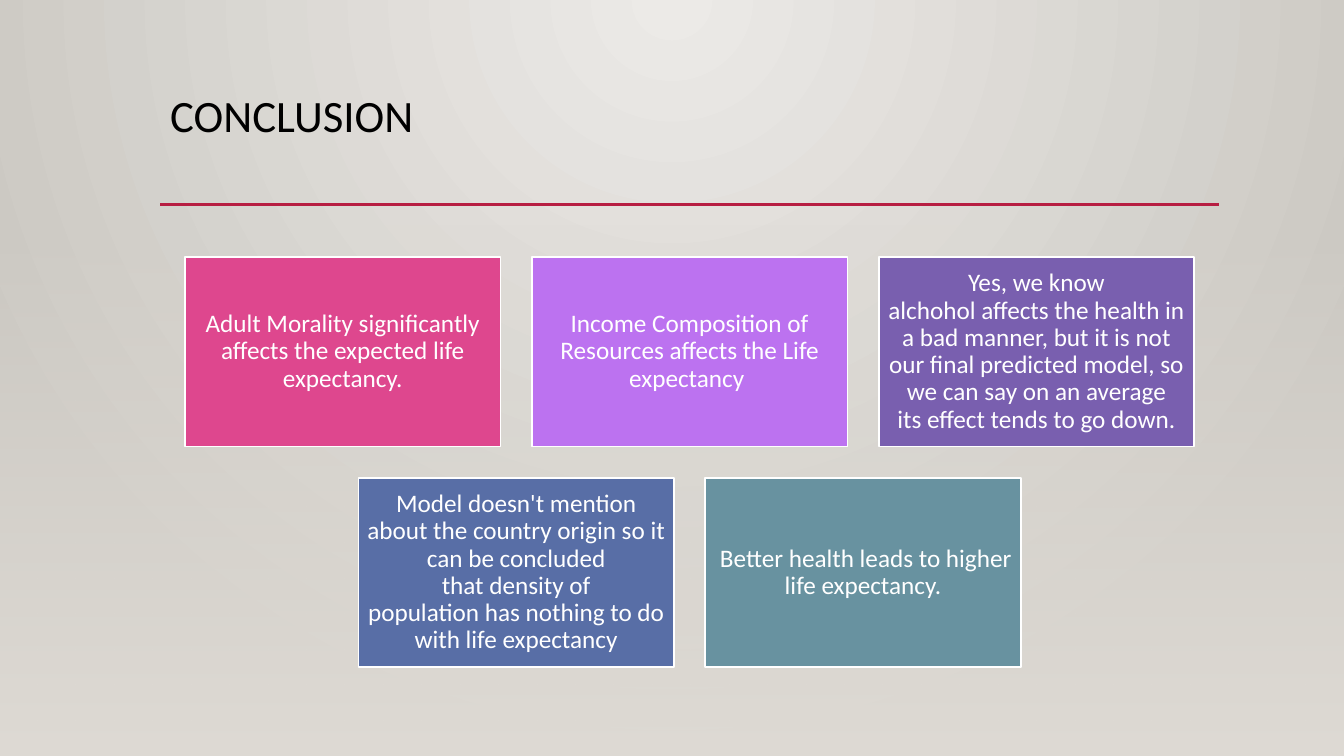
from lxml import etree
from pptx import Presentation
from pptx import util as u
from pptx.dml.color import RGBColor
from pptx.enum import shapes, text
from pptx.oxml import ns

FONT = "Calibri"
NBSP = chr(160)
COLORS = {
    "glow": "ECEAE7",
    "edge": "CAC7C1",
    "floor": "DFDBD5",
    "rule": "B71E42",
    "title": "000000",
    "white": "FFFFFF",
    "pink": "DE478E",
    "violet": "BC72F0",
    "purple": "795FAF",
    "blue": "586EA6",
    "teal": "6892A0",
}
CARD_WIDTH, CARD_HEIGHT, CARD_GAP = 3.13, 1.88, 0.31
CARD_ROWS = [
    [
        ("pink", "Adult Morality significantly affects the expected life expectancy."),
        ("violet", f"Income Composition of Resources affects the Life expectancy{NBSP}"),
        ("purple", f"Yes, we know alchohol{NBSP}affects the health in a bad manner, but it is not "
                   f"our final predicted model, so we can say on an average its{NBSP}effect tends to go down."),
    ],
    [
        ("blue", "Model doesn't mention about the country origin so it can be concluded "
                 f"that{NBSP}density of population{NBSP}has nothing to do with{NBSP}life expectancy"),
        ("teal", f"{NBSP}Better health{NBSP}leads to higher life expectancy."),
    ],
]


def color(name):
    return RGBColor.from_string(COLORS[name])


def set_gradient(fill, owner, stops, radial=False):
    fill.gradient()
    gradient = owner.find(".//" + ns.qn("a:gradFill"))
    for child in list(gradient):
        gradient.remove(child)
    stop_list = etree.SubElement(gradient, ns.qn("a:gsLst"))
    for position, name, opacity in stops:
        stop = etree.SubElement(stop_list, ns.qn("a:gs"), pos=str(position * 1000))
        tint = etree.SubElement(stop, ns.qn("a:srgbClr"), val=COLORS[name])
        if opacity < 100:
            etree.SubElement(tint, ns.qn("a:alpha"), val=str(opacity * 1000))
    if radial:
        shade = etree.SubElement(gradient, ns.qn("a:path"), path="circle")
        etree.SubElement(shade, ns.qn("a:fillToRect"), l="43000", t="0", r="43000", b="100000")
    else:
        etree.SubElement(gradient, ns.qn("a:lin"), ang="5400000", scaled="0")


def write_text(frame, content, size, color_name, alignment):
    frame.word_wrap = True
    frame.text = content
    paragraph = frame.paragraphs[0]
    paragraph.alignment = alignment
    paragraph.line_spacing = 0.9
    font = paragraph.runs[0].font
    font.name = FONT
    font.size = u.Pt(size)
    font.color.rgb = color(color_name)


def add_rectangle(slide, left, top, width, height):
    shape = slide.shapes.add_shape(
        shapes.MSO_SHAPE.RECTANGLE,
        u.Inches(left), u.Inches(top), u.Inches(width), u.Inches(height))
    shape.shadow.inherit = False
    return shape


def add_backdrop(slide, left, top, width, height):
    set_gradient(slide.background.fill, slide.element,
                 [(0, "glow", 100), (100, "edge", 100)], radial=True)
    floor = add_rectangle(slide, left, top, width, height)
    set_gradient(floor.fill, floor.element, [(0, "floor", 0), (100, "floor", 100)])
    floor.line.fill.background()


def add_title(slide, left, top, width, height):
    box = slide.shapes.add_textbox(
        u.Inches(left), u.Inches(top), u.Inches(width), u.Inches(height))
    write_text(box.text_frame, "CONCLUSION", 32, "title", text.PP_ALIGN.LEFT)
    bottom = u.Inches(top + height)
    rule = slide.shapes.add_connector(
        shapes.MSO_CONNECTOR.STRAIGHT, u.Inches(left), bottom, u.Inches(left + width), bottom)
    rule.line.color.rgb = color("rule")
    rule.line.width = u.Pt(2.5)
    etree.SubElement(rule.element.spPr, ns.qn("a:effectLst"))


def add_card(slide, left, top, color_name, content):
    card = add_rectangle(slide, left, top, CARD_WIDTH, CARD_HEIGHT)
    card.fill.solid()
    card.fill.fore_color.rgb = color(color_name)
    card.line.color.rgb = color("white")
    card.line.width = u.Pt(1.25)
    frame = card.text_frame
    frame.margin_left = frame.margin_right = u.Inches(0.07)
    frame.margin_top = frame.margin_bottom = u.Inches(0.07)
    frame.vertical_anchor = text.MSO_ANCHOR.MIDDLE
    write_text(frame, content, 18, "white", text.PP_ALIGN.CENTER)


def add_cards(slide, left, top, width):
    for row, cards in enumerate(CARD_ROWS):
        row_width = len(cards) * (CARD_WIDTH + CARD_GAP) - CARD_GAP
        row_left = left + (width - row_width) / 2
        row_top = top + row * (CARD_HEIGHT + CARD_GAP)
        for column, (color_name, content) in enumerate(cards):
            card_left = row_left + column * (CARD_WIDTH + CARD_GAP)
            add_card(slide, card_left, row_top, color_name, content)


def main():
    presentation = Presentation()
    presentation.slide_width = u.Inches(13.33)
    presentation.slide_height = u.Inches(7.5)
    slide = presentation.slides.add_slide(presentation.slide_layouts[6])
    add_backdrop(slide, 0, 2.21, 13.33, 5.29)
    add_title(slide, 1.59, 0.88, 10.5, 1.15)
    add_cards(slide, 1.59, 2.55, 10.5)
    presentation.save("out.pptx")


if __name__ == "__main__":
    main()
